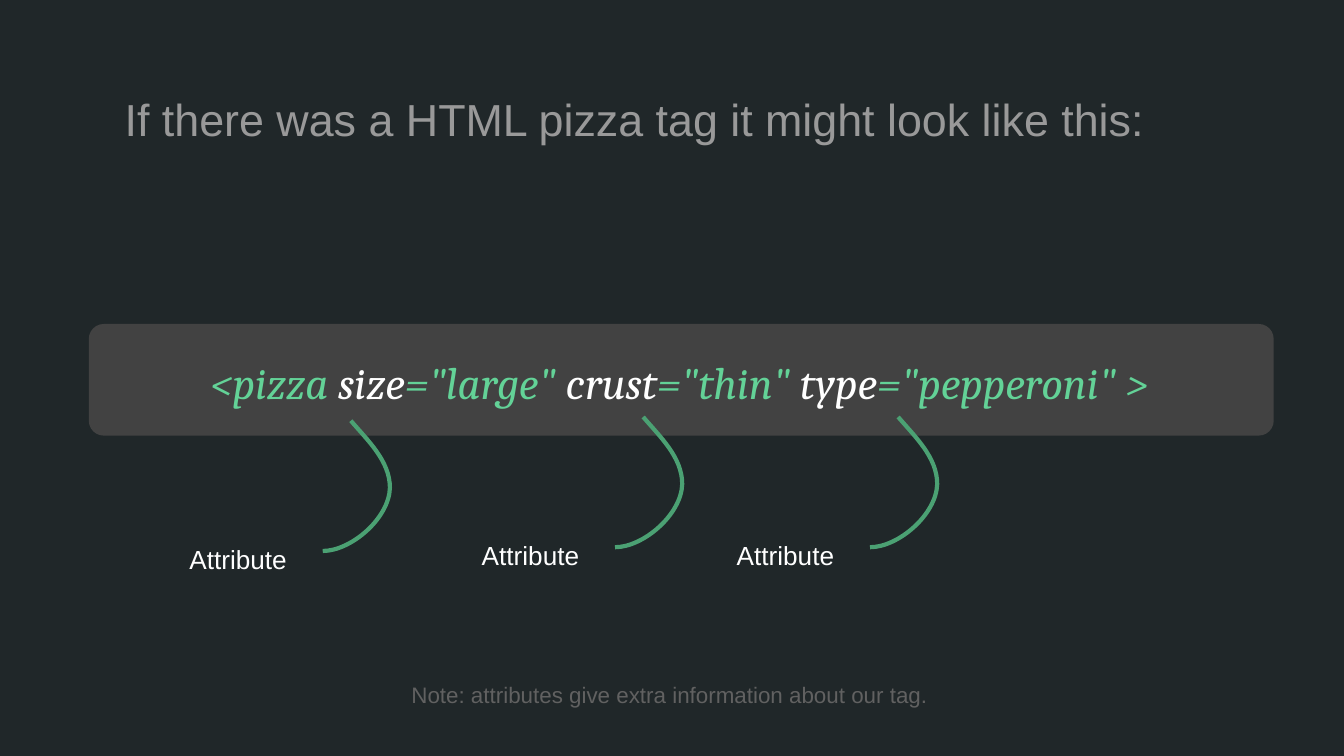
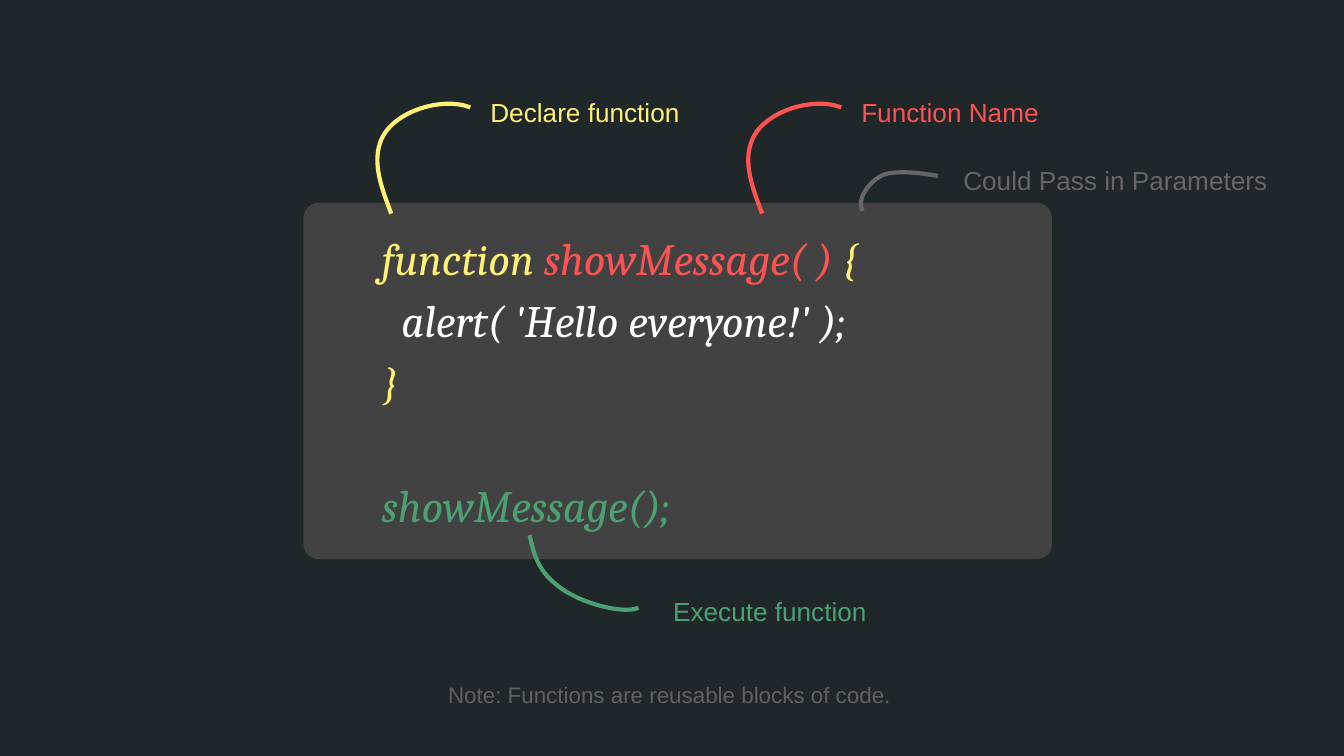
from dataclasses import dataclass

from lxml import etree
from pptx import Presentation
from pptx.dml.color import RGBColor
from pptx.enum.shapes import MSO_SHAPE
from pptx.enum.text import MSO_ANCHOR, MSO_AUTO_SIZE, PP_ALIGN
from pptx.oxml.ns import qn
from pptx.util import Pt

ROUNDED = MSO_SHAPE.ROUNDED_RECTANGLE
LEFT, CENTER = PP_ALIGN.LEFT, PP_ALIGN.CENTER
TOP, MIDDLE = MSO_ANCHOR.TOP, MSO_ANCHOR.MIDDLE
NO_AUTOFIT = MSO_AUTO_SIZE.NONE
TITLE_ONLY = 5


@dataclass(frozen=True)
class Theme:
    background: str = "202729"
    panel: str = "424242"
    heading: str = "999999"
    note: str = "616161"
    muted: str = "666666"
    white: str = "FFFFFF"
    mint: str = "63D297"
    green: str = "4BA173"
    yellow: str = "FFF176"
    red: str = "FF5252"
    text_font: str = "Arial"
    code_font: str = "Cambria"
    large: int = 24
    label: int = 14
    small: int = 12
    line_spacing: float = 1.15
    inset: float = 7.2
    radius: float = 8
    stroke: float = 2.25


# Leader curves: a start point, then cubic triples, relative to their label
ATTRIBUTE_LEADER = [(93.6, -56), (102.5, -45.5), (114.5, -34.5), (114.5, -20),
                    (114, -3.5), (93.6, 13.8), (78.5, 13.8)]
DECLARE_LEADER = [(-46, 72.7), (-50.4, 60.5), (-57, 45.4), (-51, 32.4),
                  (-43.9, 17.3), (-18, 10), (-3.6, 15.8)]
EXECUTE_LEADER = [(-69.8, -22.3), (-67.7, -13.7), (-66.2, -4.3), (-55.4, 4.3),
                  (-43.2, 14.4), (-19.4, 20.2), (-11.5, 16.6)]
PARAMETER_LEADER = [(-6.5, 15.8), (-15.1, 14.4), (-23.8, 13), (-33.1, 14.4),
                    (-41, 15.8), (-51.1, 27.4), (-46.8, 34.6)]


class Deck:
    """Holds the theme and the slide being built."""

    def __init__(self, theme):
        self.theme = theme
        self.prs = Presentation()
        self.prs.slide_width, self.prs.slide_height = Pt(720), Pt(405)
        self.paint(self.prs.slide_master.background.fill, theme.background)
        self.slide = None

    def paint(self, fill, color):
        fill.solid()
        fill.fore_color.rgb = RGBColor.from_string(color)

    def new_slide(self):
        layout = self.prs.slide_layouts[TITLE_ONLY]
        self.slide = self.prs.slides.add_slide(layout)

    def set_frame(self, frame, anchor):
        frame.word_wrap = True
        frame.auto_size = NO_AUTOFIT
        frame.vertical_anchor = anchor
        inset = Pt(self.theme.inset)
        frame.margin_left = frame.margin_right = inset
        frame.margin_top = frame.margin_bottom = inset

    def panel(self, x, y, w, h):
        panel = self.slide.shapes.add_shape(ROUNDED, Pt(x), Pt(y), Pt(w), Pt(h))
        panel.adjustments[0] = self.theme.radius / min(w, h)
        panel.shadow.inherit = False
        self.paint(panel.fill, self.theme.panel)
        panel.line.fill.background()
        # The panel lies behind the code in the title placeholder
        self.slide.shapes._spTree.insert(2, panel._element)

    def code(self, x, y, w, h, lines, align=LEFT, gaps=None):
        """Each line is a list of (text, color); gaps maps line index to space."""
        title = self.slide.shapes.title
        title.left, title.top, title.width, title.height = map(Pt, (x, y, w, h))
        frame = title.text_frame
        self.set_frame(frame, MIDDLE)
        for index, pieces in enumerate(lines):
            line = frame.paragraphs[0] if index == 0 else frame.add_paragraph()
            line.alignment = align
            line.line_spacing = self.theme.line_spacing
            line.space_before = Pt((gaps or {}).get(index, 0))
            line.font.name = self.theme.code_font
            line.font.size = Pt(self.theme.large)
            line.font.italic = True
            for text, color in pieces:
                run = line.add_run()
                run.text = text
                run.font.color.rgb = RGBColor.from_string(color)

    def text(self, x, y, w, h, words, size, color, align=LEFT, spacing=None):
        box = self.slide.shapes.add_textbox(Pt(x), Pt(y), Pt(w), Pt(h))
        self.set_frame(box.text_frame, TOP)
        line = box.text_frame.paragraphs[0]
        line.text = words
        line.alignment = align
        line.line_spacing = spacing or self.theme.line_spacing
        line.font.name = self.theme.text_font
        line.font.size = Pt(size)
        line.font.color.rgb = RGBColor.from_string(color)

    def note(self, words):
        self.text(28.8, 355.7, 660, 31.7, words, self.theme.small,
                  self.theme.note, CENTER)

    def curve(self, points, color):
        start, *rest = [(Pt(x), Pt(y)) for x, y in points]
        builder = self.slide.shapes.build_freeform(*start)
        builder.add_line_segments(rest, close=False)
        leader = builder.convert_to_shape()
        # Turn each three straight segments into one cubic curve
        segments = list(leader._element.iter(qn("a:lnTo")))
        for i in range(0, len(segments), 3):
            cubic = etree.Element(qn("a:cubicBezTo"))
            segments[i].addprevious(cubic)
            for segment in segments[i:i + 3]:
                cubic.append(segment[0])
                segment.getparent().remove(segment)
        leader.shadow.inherit = False
        leader.fill.background()
        leader.line.color.rgb = RGBColor.from_string(color)
        leader.line.width = Pt(self.theme.stroke)

    def callout(self, x, y, w, h, words, color, leader, leader_color=None):
        self.curve([(x + dx, y + dy) for dx, dy in leader],
                   leader_color or color)
        self.text(x, y, w, h, words, self.theme.label, color)


def attributes_slide(deck):
    t = deck.theme
    deck.new_slide()
    deck.panel(47.6, 173.6, 634.8, 59.8)
    deck.code(38.9, 41.8, 650, 320.4, [[
        ("<pizza ", t.mint), ("size", t.white), ('="large" ', t.mint),
        ("crust", t.white), ('="thin" ', t.mint),
        ("type", t.white), ('="pepperoni" >', t.mint),
    ]], CENTER)
    deck.text(28.8, 41.8, 622, 59.8,
              "If there was a HTML pizza tag it might look like this:",
              t.large, t.heading, CENTER, spacing=1.0)
    for x, y in ((94.4, 281.4), (251, 279.4), (387.6, 279.4)):
        deck.callout(x, y, 75, 31.7, "Attribute", t.white,
                     ATTRIBUTE_LEADER, t.green)
    deck.note("Note: attributes give extra information about our tag.")


def functions_slide(deck):
    t = deck.theme
    deck.new_slide()
    deck.panel(162.6, 108.7, 401, 190.8)
    deck.code(197.3, 41.8, 491.8, 320.4, [
        [("function ", t.yellow), ("showMessage( )", t.red), (" {", t.yellow)],
        [("  alert( 'Hello everyone!' );", t.white)],
        [("}", t.yellow)],
        [("showMessage();", t.green)],
    ], gaps={3: 33})
    for x, y, w, words, color, leader in (
        (255.6, 41.8, 140.4, "Declare function", t.yellow, DECLARE_LEADER),
        (454.3, 41.8, 140.4, "Function Name", t.red, DECLARE_LEADER),
        (509, 78.5, 180, "Could Pass in Parameters", t.muted, PARAMETER_LEADER),
        (353.5, 309, 140.4, "Execute function", t.green, EXECUTE_LEADER),
    ):
        deck.callout(x, y, w, 36.7, words, color, leader)
    deck.note("Note: Functions are reusable blocks of code.")


def main():
    deck = Deck(Theme())
    attributes_slide(deck)
    functions_slide(deck)
    deck.prs.save("out.pptx")


if __name__ == "__main__":
    main()
